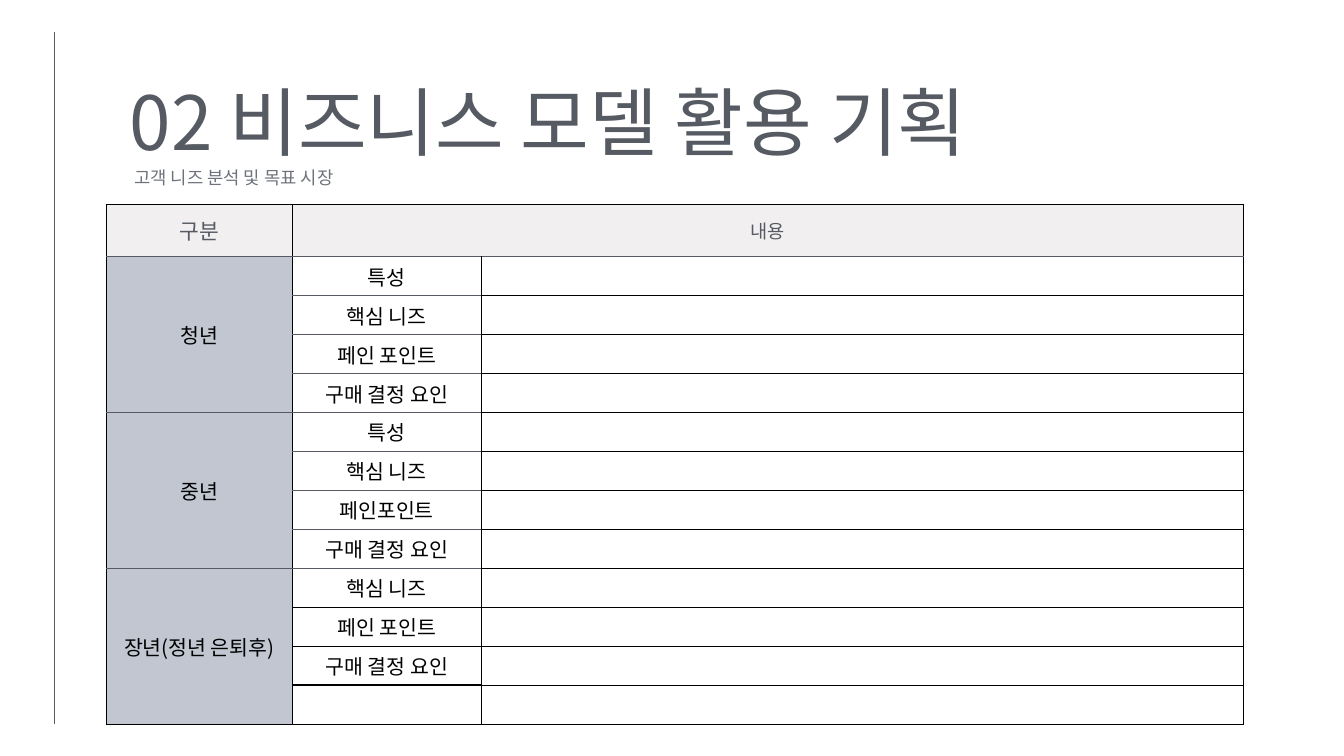
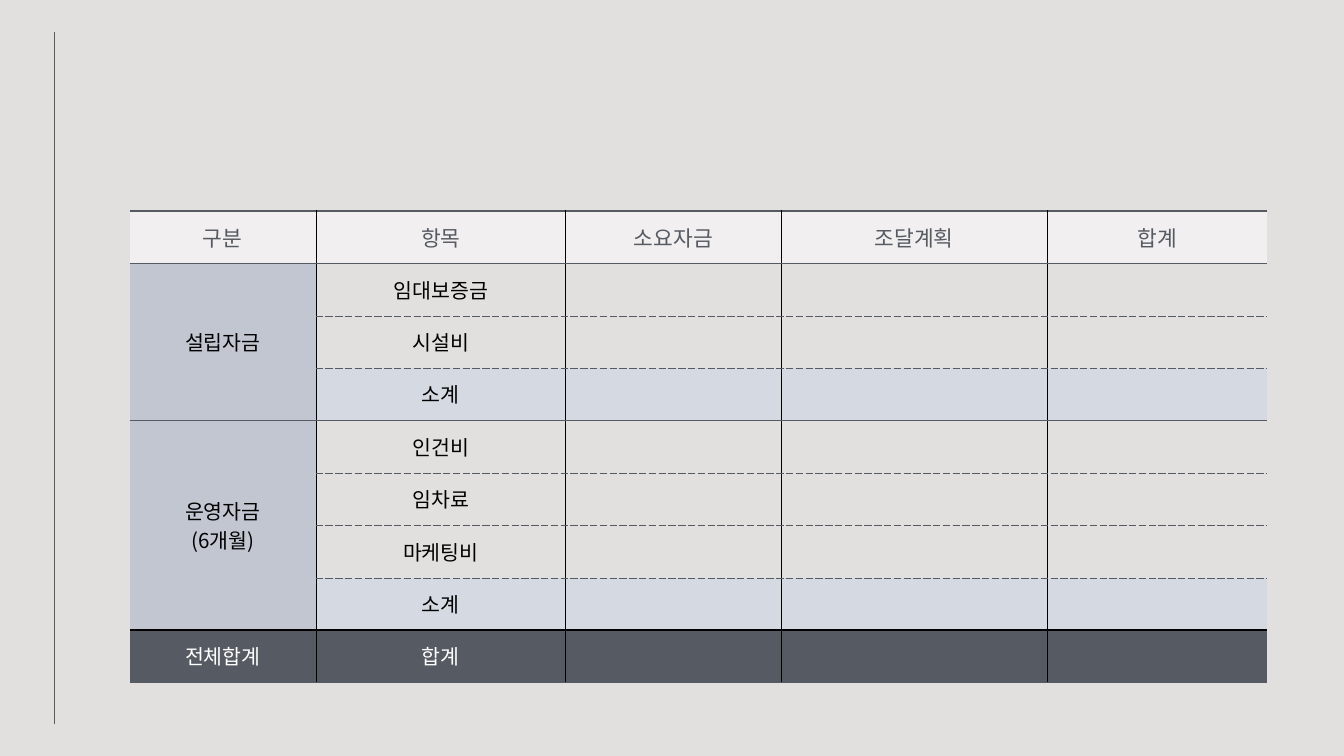
import dataclasses

import lxml.etree
import pptx
import pptx.dml.color
import pptx.enum.shapes
import pptx.enum.text
import pptx.oxml.ns
import pptx.util


@dataclasses.dataclass(frozen=True)
class Theme:
    font: str = "Noto Sans CJK KR"
    slate: str = "565A62"
    gray: str = "6E727B"
    black: str = "000000"
    white: str = "FFFFFF"
    paper: str = "E1E0DF"
    header: str = "F1EFEF"
    group: str = "C1C6D1"
    subtotal: str = "D5D9E1"
    title: int = 80
    subtitle: int = 19
    head: int = 23
    head_small: int = 20
    body: int = 22


theme = Theme()
Inches = pptx.util.Inches
Pt = pptx.util.Pt
RGB = pptx.dml.color.RGBColor.from_string
qn = pptx.oxml.ns.qn
ALIGN = pptx.enum.text.PP_ALIGN


def write(tf, text, size, color, align=ALIGN.LEFT, spacing=None):
    tf.word_wrap = True
    for i, line in enumerate(text.split("\n")):
        p = tf.add_paragraph() if i else tf.paragraphs[0]
        p.alignment = align
        if spacing:
            p.line_spacing = Pt(spacing)
        r = p.add_run()
        r.text = line
        r.font.size = Pt(size)
        r.font.name = theme.font
        r.font.color.rgb = RGB(color)
        ea = lxml.etree.SubElement(r.font._element, qn("a:ea"))
        ea.set("typeface", theme.font)


def set_borders(cell, **sides):
    tcPr = cell._tc.get_or_add_tcPr()
    for side in "LRTB":
        color, width, dash = sides[side]
        ln = lxml.etree.SubElement(tcPr, qn("a:ln" + side), w=str(Pt(width)))
        if not width:
            lxml.etree.SubElement(ln, qn("a:noFill"))
            continue
        fill = lxml.etree.SubElement(ln, qn("a:solidFill"))
        lxml.etree.SubElement(fill, qn("a:srgbClr"), val=color)
        lxml.etree.SubElement(ln, qn("a:prstDash"), val=dash)


no_line = (theme.slate, 0, "solid")
thin = (theme.black, 0.75, "solid")
frame = (theme.black, 1, "solid")
rule = (theme.slate, 1.5, "solid")
heavy = (theme.black, 2.25, "solid")
dashed = (theme.slate, 0.75, "sysDash")

need_labels = ["특성", "핵심 니즈", "페인 포인트", "구매 결정 요인",
               "특성", "핵심 니즈", "페인포인트", "구매 결정 요인",
               "핵심 니즈", "페인 포인트", "구매 결정 요인", ""]
need_groups = {0: "청년", 4: "중년", 8: "장년(정년 은퇴후)"}
needs = dict(
    left=1.58, top=3.04,
    widths=[2.77, 2.81, 11.34],
    heights=[0.78] + [0.58] * 12,
    texts=[["구분", "내용", ""]]
    + [[need_groups.get(i, ""), label, ""] for i, label in enumerate(need_labels)],
    merges=[(0, 1, 0, 2), (1, 0, 4, 0), (5, 0, 8, 0), (9, 0, 12, 0)],
    across=[[frame] + [rule] * 12 + [frame],
            [frame] + [rule] * 9 + [heavy] * 3 + [frame],
            [frame, rule] + [frame] * 12],
    down=[frame, thin, frame, frame],
    subtotals=[], total=None, leading=None,
    head_sizes=[theme.head, theme.head_small, theme.head],
)

fund_labels = ["임대보증금", "시설비", "소계", "인건비", "임차료", "마케팅비", "소계", "합계"]
fund_groups = {0: "설립자금", 3: "운영자금\n(6개월)", 7: "전체합계"}
fund_edges = [rule, rule, dashed, dashed, rule, dashed, dashed, dashed, heavy, rule]
funds = dict(
    left=1.93, top=3.14,
    widths=[2.77, 3.72, 3.2, 3.97, 3.26],
    heights=[0.78] * 9,
    texts=[["구분", "항목", "소요자금", "조달계획", "합계"]]
    + [[fund_groups.get(i, ""), label, "", "", ""] for i, label in enumerate(fund_labels)],
    merges=[(1, 0, 3, 0), (4, 0, 7, 0)],
    across=[fund_edges] * 5,
    down=[no_line] + [thin] * 4 + [no_line],
    subtotals=[3, 7], total=8, leading=1.4,
    head_sizes=[theme.head] * 5,
)

prs = pptx.Presentation()
prs.slide_width = Inches(20)
prs.slide_height = Inches(11.25)

title_box = ("02 비즈니스 모델 활용 기획", (1.93, 1.24, 14.89, 1.23),
             dict(size=theme.title, color=theme.slate, spacing=88))
subtitle_box = ("고객 니즈 분석 및 목표 시장", (2, 2.45, 8.08, 0.34),
                dict(size=theme.subtitle, color=theme.gray, align=ALIGN.JUSTIFY, spacing=24.7))

for background, grid, boxes in [(theme.white, needs, [title_box, subtitle_box]),
                                (theme.paper, funds, [])]:
    s = prs.slides.add_slide(prs.slide_layouts[6])
    s.background.fill.solid()
    s.background.fill.fore_color.rgb = RGB(background)

    line = s.shapes.add_connector(pptx.enum.shapes.MSO_CONNECTOR.STRAIGHT,
                                  Inches(0.81), Inches(10.78), Inches(0.81), Inches(0.47))
    line.line.color.rgb = RGB(theme.slate)
    line.line.width = Pt(0.75)
    lxml.etree.SubElement(line._element.spPr, qn("a:effectLst"))

    for text, box, style in boxes:
        sp = s.shapes.add_textbox(*map(Inches, box))
        tf = sp.text_frame
        tf.margin_left = tf.margin_right = tf.margin_top = tf.margin_bottom = 0
        tf.auto_size = pptx.enum.text.MSO_AUTO_SIZE.SHAPE_TO_FIT_TEXT
        write(tf, text, **style)

    widths, heights = grid["widths"], grid["heights"]
    table = s.shapes.add_table(len(heights), len(widths), Inches(grid["left"]), Inches(grid["top"]),
                               Inches(sum(widths)), Inches(sum(heights))).table
    table.first_row = table.horz_banding = False
    for column, width in zip(table.columns, widths):
        column.width = Inches(width)
    for row, height in zip(table.rows, heights):
        row.height = Inches(height)
    for top, left, bottom, right in grid["merges"]:
        table.cell(top, left).merge(table.cell(bottom, right))

    for i, texts in enumerate(grid["texts"]):
        for j, text in enumerate(texts):
            cell = table.cell(i, j)
            cell.margin_left = cell.margin_right = Inches(0.03)
            cell.margin_top = cell.margin_bottom = Inches(0.03)
            cell.vertical_anchor = pptx.enum.text.MSO_ANCHOR.MIDDLE
            rows = cell.span_height if cell.is_merge_origin else 1
            cols = cell.span_width if cell.is_merge_origin else 1
            edges = grid["across"][j]
            set_borders(cell, L=grid["down"][j], R=grid["down"][j + cols],
                        T=edges[i], B=edges[i + rows])

            size, color, fill = theme.body, theme.black, None
            if i == 0:
                size, color, fill = grid["head_sizes"][j], theme.slate, theme.header
            elif i == grid["total"]:
                color, fill = theme.white, theme.slate
            elif j == 0:
                fill = theme.group
            elif i in grid["subtotals"]:
                fill = theme.subtotal
            if fill:
                cell.fill.solid()
                cell.fill.fore_color.rgb = RGB(fill)
            else:
                cell.fill.background()
            if text:
                leading = grid["leading"]
                write(cell.text_frame, text, size, color, align=ALIGN.CENTER,
                      spacing=leading and size * leading)

prs.save("out.pptx")
